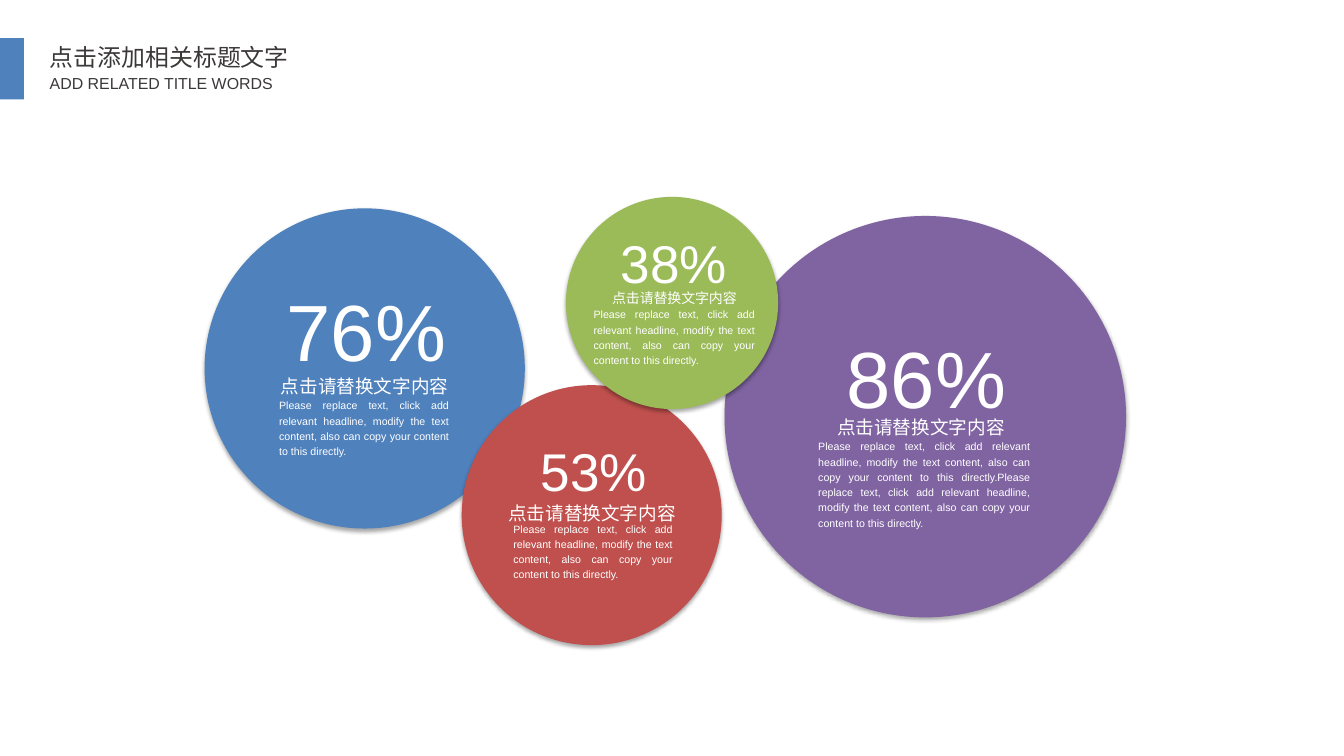
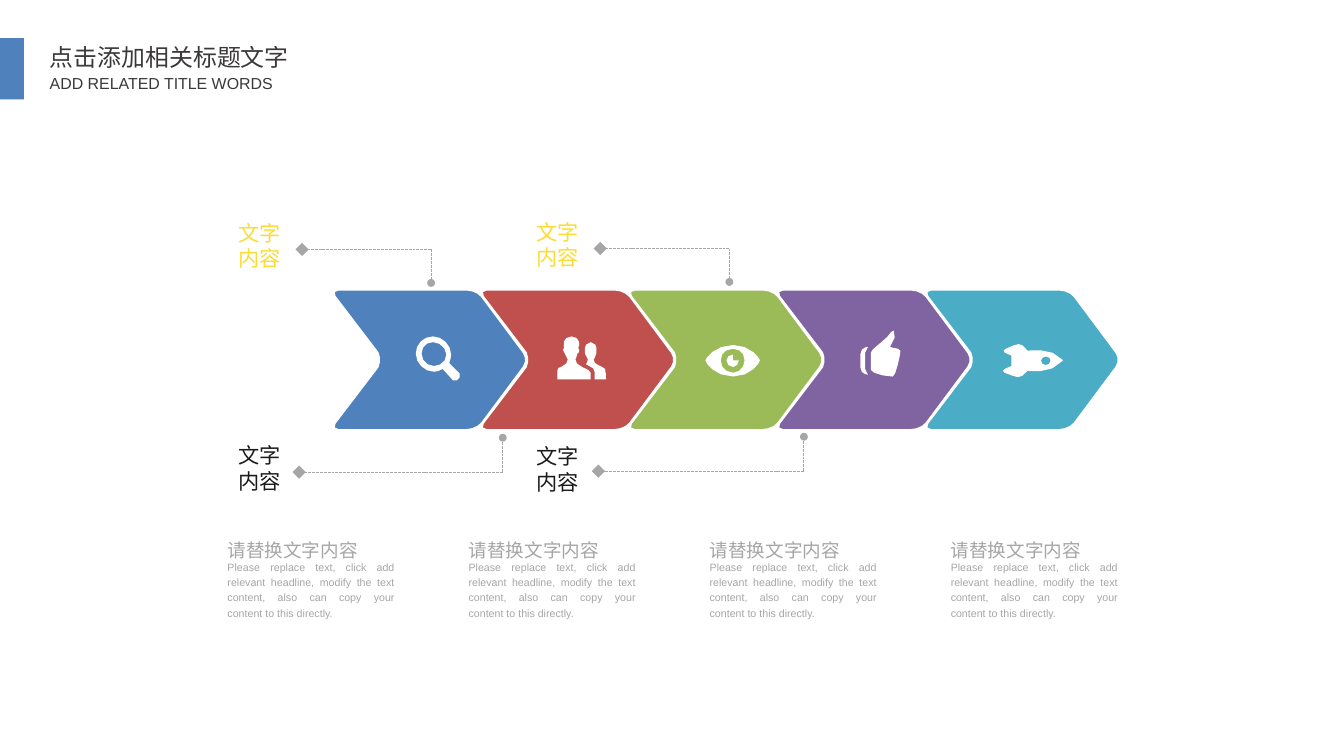
import math
from dataclasses import dataclass

from lxml import etree
from pptx import Presentation
from pptx import util as u
from pptx.dml.color import RGBColor
from pptx.enum import dml, shapes, text
from pptx.oxml.ns import qn
from pptx.slide import Slide, SlideLayout

INK = {
    "blue": "4F81BD", "red": "C0504D", "green": "9BBB59", "purple": "8064A2",
    "teal": "4BACC6", "white": "FFFFFF", "grey": "A6A6A6", "title": "3B3838",
    "yellow": "FCDC34", "black": "1C1B1C", "shade": "000000",
}
LATIN, HAN = "Arial", "Noto Sans CJK SC"
COLS, ROWS = 140.6, 79.1  # the grid: one cell is a tenth of an inch
FINE = 100  # outline points per hundredth of an inch
BLURB = ("Please replace text, click add relevant headline, modify the text "
         "content, also can copy your content to this directly.")
LEFT, MID, JUST = text.PP_ALIGN.LEFT, text.PP_ALIGN.CENTER, text.PP_ALIGN.JUSTIFY

Point = tuple[float, float]


@dataclass(frozen=True)
class Bubble:
    left: float
    top: float
    size: float
    ink: str
    rate: str
    rate_at: Point
    rate_pt: float
    head_at: Point
    head_pt: float
    body_at: Point
    body_w: float
    body: str = BLURB


@dataclass(frozen=True)
class Step:
    ink: str
    icon_at: Point
    icon: str


@dataclass(frozen=True)
class Callout:
    at: Point
    ink: str
    dot: Point
    gem: Point


BUBBLES = [
    Bubble(75.8, 22.6, 42, "purple", "86%", (88.5, 32.4), 60,
           (87.6, 43), 14, (85.6, 45.8), 22.2, BLURB + BLURB),
    Bubble(21.4, 21.8, 33.5, "blue", "76%", (29.9, 27.5), 60,
           (29.4, 38.8), 14, (29.2, 41.5), 17.8),
    Bubble(48.3, 40.3, 27.2, "red", "53%", (56.5, 44.5), 40,
           (53.2, 52), 14, (53.7, 54.4), 16.7),
    Bubble(59.2, 20.6, 22.2, "green", "38%", (64.9, 22.8), 40,
           (64, 29.9), 10.5, (62.1, 32), 16.9),
]

# Outlines: M move, L line, C curve, in hundredths of an inch.
CHEVRON = ("M 157 140 C 154 144 147 147 141 147 L 7 147 C 2 147 0 144 3 140 "
           "L 48 81 C 50 77 50 70 48 66 L 3 7 C 0 3 2 0 7 0 L 141 0 "
           "C 147 0 154 3 157 7 L 201 66 C 204 70 204 77 201 81")
LENS = ("M 46 39 L 35 28 C 36 25 37 22 37 19 C 37 9 28 0 18 0 C 8 0 0 8 0 18 "
        "C 0 28 9 37 19 37 C 22 37 25 36 28 34 L 39 46 C 40 47 42 47 43 46 "
        "L 46 43 C 47 42 47 40 46 39 M 6 18 C 6 11 11 6 18 6 "
        "C 25 6 32 12 32 19 C 32 26 26 31 19 31 C 12 31 6 25 6 18")
PAIR = ("M 51 45 C 51 45 51 35 50 34 C 49 33 47 32 43 30 C 40 29 38 27 38 24 "
        "C 38 23 40 23 40 20 C 40 19 41 20 41 17 L 41 12 C 41 11 40 6 35 6 "
        "C 30 6 29 11 29 12 L 29 17 C 29 20 30 19 30 20 C 31 23 32 23 32 24 "
        "C 32 26 31 28 30 29 C 38 33 39 34 39 37 L 39 45 "
        "M 26 32 C 21 29 19 28 19 24 C 19 22 21 22 21 18 C 22 16 23 18 23 14 "
        "L 22 12 C 22 12 23 10 23 8 C 23 6 22 0 15 0 "
        "C 8 0 6 6 7 8 L 7 12 L 6 14 C 7 18 8 16 8 18 "
        "C 9 22 11 22 11 24 C 11 28 9 29 4 32 C 2 32 0 33 0 36 L 0 45 "
        "L 35 45 L 35 38 C 35 36 31 34 26 32")
EYE = ("M 29 0 C 10 0 0 14 0 16 C 0 19 10 33 29 33 C 47 33 57 19 57 16 "
       "C 57 14 47 0 29 0 M 29 29 C 21 29 16 23 16 16 C 16 9 21 4 29 4 "
       "C 36 4 41 9 41 16 C 41 23 36 29 29 29 M 29 16 C 27 15 30 10 29 10 "
       "C 25 10 22 13 22 16 C 22 20 25 23 29 23 C 32 23 35 20 35 16 "
       "C 35 15 30 17 29 16")
THUMB = ("M 31 19 C 30 18 40 9 35 2 C 33 0 29 10 22 14 C 19 17 11 22 11 25 "
         "L 11 43 C 11 46 24 50 34 50 C 37 50 42 27 42 23 C 42 20 31 20 31 19 "
         "M 8 19 C 6 19 0 20 0 27 L 0 40 C 0 47 6 48 8 48 C 10 48 5 47 5 42 "
         "L 5 25 C 5 21 10 19 8 19")
ROCKET = ("M 26 31 C 26 31 51 35 62 21 L 63 20 L 62 19 C 52 6 26 10 26 10 "
          "C 18 0 17 2 3 8 C 0 9 1 11 2 12 L 9 15 L 9 26 "
          "L 2 29 C 0 30 -1 32 2 33 C 16 38 17 41 26 31 "
          "M 40 20 C 40 18 43 16 45 16 C 48 16 50 18 50 20 "
          "C 50 23 48 25 45 25 C 42 25 40 23 40 20")

STEPS = [
    Step("blue", (43.5, 35.2), LENS),
    Step("red", (58.3, 35.2), PAIR),
    Step("green", (73.8, 36.1), EYE),
    Step("purple", (90, 34.4), THUMB),
    Step("teal", (104.9, 35.7), ROCKET),
]
CALLOUTS = [
    Callout((24.4, 23), "yellow", (45.1, 29.6), (31.6, 26.1)),
    Callout((24.4, 46.3), "black", (52.6, 45.8), (31.3, 49.4)),
    Callout((55.6, 22.9), "yellow", (76.3, 29.5), (62.8, 26)),
    Callout((55.6, 46.4), "black", (84.1, 45.7), (62.6, 49.3)),
]


def cell(count: float) -> int:
    return u.Inches(count / 10)


def tint(name: str) -> RGBColor:
    return RGBColor.from_string(INK[name])


def write(frame, words: str, *, size: float, ink: str, font: str = LATIN,
          align=LEFT, wrap: bool = True, pad: Point = (0, 0),
          gap: float | None = None, plain: bool = False) -> None:
    """Fill a text frame; plain drops the bullet of a body placeholder."""
    frame.word_wrap = wrap
    frame.auto_size = text.MSO_AUTO_SIZE.NONE
    frame.vertical_anchor = text.MSO_ANCHOR.TOP
    frame.margin_left = frame.margin_right = cell(pad[0])
    frame.margin_top = frame.margin_bottom = cell(pad[1])
    para = frame.paragraphs[0]
    if plain:
        props = para._p.get_or_add_pPr()
        props.set("marL", "0")
        props.set("indent", "0")
        etree.SubElement(props, qn("a:buNone"))
    para.alignment = align
    para.space_before = u.Pt(0)
    if gap:
        para.line_spacing = gap
    run = para.add_run()
    run.text = words
    run.font.name = font
    run.font.size = u.Pt(size)
    run.font.color.rgb = tint(ink)
    etree.SubElement(run._r.get_or_add_rPr(), qn("a:ea"), typeface=HAN)


def label(slide: Slide, words: str, at: Point, size: Point, pt: float,
          **style) -> None:
    box = slide.shapes.add_textbox(*map(cell, (*at, *size)))
    write(box.text_frame, words, size=pt, **style)


def paint(shape, ink: str, edge: str | None = None) -> None:
    shape.shadow.inherit = False
    shape.fill.solid()
    shape.fill.fore_color.rgb = tint(ink)
    if edge:
        shape.line.color.rgb = tint(edge)
        shape.line.width = u.Pt(1.5)
    else:
        shape.line.fill.background()


def bend(a: Point, b: Point, c: Point, d: Point) -> list[Point]:
    """Cut a cubic curve into lines, more of them the longer it is."""
    span = (math.dist(a, b) + math.dist(b, c) + math.dist(c, d)) / FINE
    count = max(1, round(math.sqrt(span) / 1.5))
    pts = []
    for t in (n / count for n in range(1, count + 1)):
        s = 1 - t
        pts.append(tuple(
            s**3 * a[k] + 3 * s * s * t * b[k] + 3 * s * t * t * c[k] + t**3 * d[k]
            for k in (0, 1)))
    return pts


def trace(route: str) -> list[list[Point]]:
    """Turn an outline into rings of points."""
    rings: list[list[Point]] = []
    for mark in "MLC":
        route = route.replace(mark, "|" + mark)
    for part in route.split("|")[1:]:
        nums = [float(n) * FINE for n in part[1:].split()]
        pts = list(zip(nums[::2], nums[1::2]))
        if part[0] == "M":
            rings.append(pts)
        elif part[0] == "L":
            rings[-1] += pts
        else:
            rings[-1] += bend(rings[-1][-1], *pts)
    return rings


def outline(slide: Slide, route: str, at: Point, ink: str,
            edge: str | None = None) -> None:
    first, *rest = trace(route)
    pen = slide.shapes.build_freeform(*first[0], scale=u.Inches(1) / 100 / FINE)
    pen.add_line_segments(first[1:], close=True)
    for ring in rest:
        pen.move_to(*ring[0])
        pen.add_line_segments(ring[1:], close=True)
    paint(pen.convert_to_shape(*map(cell, at)), ink, edge)


def wire(slide: Slide, start: Point, end: Point, tip: str, span: str) -> None:
    """Draw a dashed line with a tip of the given kind and size at its end."""
    line = slide.shapes.add_connector(
        shapes.MSO_CONNECTOR.STRAIGHT, *map(cell, (*start, *end)))
    line.line.color.rgb = tint("grey")
    line.line.width = u.Pt(0.75)
    line.line.dash_style = dml.MSO_LINE.SQUARE_DOT
    props = line._element.spPr
    etree.SubElement(props.find(qn("a:ln")), qn("a:tailEnd"), type=tip, w=span, len=span)
    etree.SubElement(props, qn("a:effectLst"))


def shade(shape) -> None:
    effects = shape._element.spPr.find(qn("a:effectLst"))
    drop = etree.SubElement(effects, qn("a:outerShdw"), blurRad="40000",
                            dist="23000", dir="5400000", rotWithShape="0")
    hue = etree.SubElement(drop, qn("a:srgbClr"), val=INK["shade"])
    etree.SubElement(hue, qn("a:alpha"), val="35000")


def place(shape, left: float, top: float, width: float, height: float) -> None:
    shape.left, shape.top, shape.width, shape.height = map(
        cell, (left, top, width, height))


def start(deck, layout: SlideLayout) -> Slide:
    """Add a slide with the shared title and subtitle."""
    slide = deck.slides.add_slide(layout)
    style = dict(ink="title", wrap=False, pad=(1, 0.5))
    write(slide.shapes.title.text_frame, "点击添加相关标题文字", size=18, font=HAN, **style)
    write(slide.placeholders[1].text_frame, "ADD RELATED TITLE WORDS", size=12,
          plain=True, **style)
    return slide


def draw_rates(slide: Slide) -> None:
    for b in BUBBLES:
        disc = slide.shapes.add_shape(
            shapes.MSO_SHAPE.OVAL, *map(cell, (b.left, b.top, b.size, b.size)))
        paint(disc, b.ink)
        shade(disc)
        style = dict(ink="white", gap=1.2)
        label(slide, b.body, b.body_at, (b.body_w, 6.1), 8, align=JUST, **style)
        label(slide, b.rate, b.rate_at, (b.rate_pt * 0.28, b.rate_pt / 6), b.rate_pt,
              align=MID, wrap=False, **style)
        label(slide, "点击请替换文字内容", b.head_at, (b.head_pt * 1.25, b.head_pt / 6),
              b.head_pt, align=MID, wrap=False, **style)


def draw_steps(slide: Slide) -> None:
    for i, step in enumerate(STEPS):
        outline(slide, CHEVRON, (34.7 + 15.5 * i, 30.3), step.ink, "white")
    for step in STEPS:
        outline(slide, step.icon, step.icon_at, "white")
    for c in CALLOUTS:
        turn = (c.dot[0], c.gem[1])
        wire(slide, turn, c.dot, "oval", "med")
        wire(slide, turn, c.gem, "diamond", "lg")
        label(slide, "文字内容", c.at, (5.5, 5.3), 16, ink=c.ink, align=MID)
    for i in range(4):
        left = 23.8 + 25.22 * i
        style = dict(ink="grey", align=JUST, gap=1.2)
        label(slide, "请替换文字内容", (left, 55.9), (14.1, 2.3), 14, **style)
        label(slide, BLURB, (left, 58.4), (17.5, 6.1), 8, **style)


def main() -> None:
    deck = Presentation()
    deck.slide_width, deck.slide_height = cell(COLS), cell(ROWS)
    layout = deck.slide_layouts[1]
    place(layout.placeholders[0], 4.2, 4, 27.1, 4.1)
    place(layout.placeholders[1], 4.2, 7.2, 25.5, 3.1)
    rates, steps = start(deck, layout), start(deck, layout)
    band = rates.shapes.add_shape(
        shapes.MSO_SHAPE.RECTANGLE, *map(cell, (0, 4, 2.5, 6.4)))
    paint(band, "blue")
    layout.shapes._spTree.append(band._element)  # shared by both slides
    draw_rates(rates)
    draw_steps(steps)
    deck.save("out.pptx")


if __name__ == "__main__":
    main()
